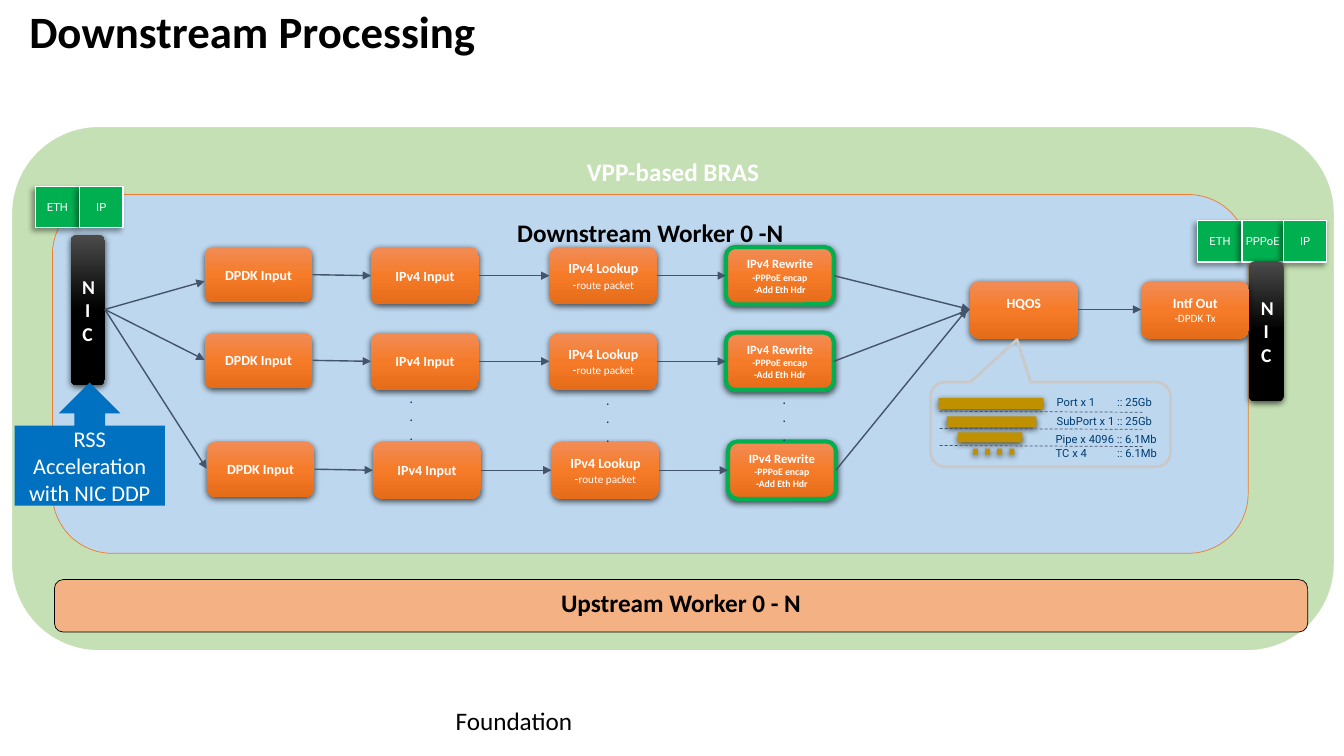
import pptx
import lxml.etree
import pptx.util
import pptx.oxml
import pptx.oxml.ns
import pptx.dml.color
import pptx.enum.dml
import pptx.enum.shapes
import pptx.enum.text

Inches, Pt = pptx.util.Inches, pptx.util.Pt
RGB = pptx.dml.color.RGBColor.from_string
qn = pptx.oxml.ns.qn
KIND = pptx.enum.shapes.MSO_SHAPE
ANCHOR = pptx.enum.text.MSO_ANCHOR
ALIGN = pptx.enum.text.PP_ALIGN


class Theme:
    body, small = "Calibri", "Roboto"
    black, white, navy, slate = "000000", "FFFFFF", "003C71", "44546A"
    green, sky, peach, rim = "C5E0B4", "BDD7EE", "F4B183", "ED7D31"
    tag, gold, blue, grey = "00B050", "BF9000", "0070C0", "C9C9C9"
    orange = ("F18C57", "F67B28", "E56C19")
    coal = ("4B4B4B", "000000", "000000")
    title, head, note, nic, dot = 32, 18, 16, 14, 11
    node, mid, sub, tiny = 10, 9, 8, 7
    soft = (63, 4.5, 1.5, 90)
    cast = (40, 4, 3, 135)


def write(shape, paras, size=Theme.node, color=Theme.white, font=Theme.body, bold=False,
          align=ALIGN.CENTER, anchor=ANCHOR.MIDDLE, inset=None, space=None):
    """Each paragraph is a string or a list of (text, size, bold) runs."""
    frame = shape.text_frame
    frame.word_wrap = True
    frame.auto_size = pptx.enum.text.MSO_AUTO_SIZE.NONE
    frame.vertical_anchor = anchor
    if inset is not None:
        frame.margin_left = frame.margin_right = Inches(inset)
        frame.margin_top = frame.margin_bottom = Inches(inset)
    for i, runs in enumerate(paras):
        para = frame.add_paragraph() if i else frame.paragraphs[0]
        para.alignment = align
        if space:
            para.line_spacing = space
        for text, points, heavy in [(runs, size, bold)] if isinstance(runs, str) else runs:
            if text == "\n":
                para.add_line_break()
                continue
            run = para.add_run()
            run.text = text
            run.font.name, run.font.size, run.font.bold = font, Pt(points), heavy
            run.font.color.rgb = RGB(color)
    return shape


def blend(shape, colors):
    """Fill a shape from top to bottom with three colours."""
    shape.fill.gradient()
    shape.fill.gradient_angle = 270
    stops = shape._element.spPr.find(qn("a:gradFill")).find(qn("a:gsLst"))
    for stop in list(stops):
        stops.remove(stop)
    for pos, color in zip((0, 50000, 100000), colors):
        stop = lxml.etree.SubElement(stops, qn("a:gs"), pos=str(pos))
        lxml.etree.SubElement(stop, qn("a:srgbClr"), val=color)


def draw(host, kind, box, fill=None, line=None, width=1, shade=None):
    shape = host.add_shape(kind, *map(Inches, box))
    if isinstance(fill, tuple):
        blend(shape, fill)
    elif fill:
        shape.fill.solid()
        shape.fill.fore_color.rgb = RGB(fill)
    else:
        shape.fill.background()
    if line:
        shape.line.color.rgb = RGB(line)
        shape.line.width = Pt(width)
    else:
        shape.line.fill.background()
    shape.shadow.inherit = False
    if shade:
        alpha, blur, dist, angle = shade
        effects = shape._element.spPr.find(qn("a:effectLst"))
        outer = lxml.etree.SubElement(
            effects, qn("a:outerShdw"), blurRad=str(Pt(blur)), dist=str(Pt(dist)),
            dir=str(angle * 60000), rotWithShape="0")
        tint = lxml.etree.SubElement(outer, qn("a:srgbClr"), val=Theme.black)
        lxml.etree.SubElement(tint, qn("a:alpha"), val=str(alpha * 1000))
    return shape


def link(host, start, end, width=1, dash=False):
    """Draw an arrow, or a plain dashed rule."""
    wire = host.add_connector(pptx.enum.shapes.MSO_CONNECTOR.STRAIGHT,
                              *map(Inches, (*start, *end)))
    wire.line.color.rgb = RGB(Theme.slate)
    wire.line.width = Pt(width)
    props = wire._element.spPr
    if dash:
        wire.line.dash_style = pptx.enum.dml.MSO_LINE.DASH
    else:
        lxml.etree.SubElement(props.find(qn("a:ln")), qn("a:tailEnd"), type="triangle")
    lxml.etree.SubElement(props, qn("a:effectLst"))


def label(host, box, paras, **style):
    return write(host.add_textbox(*map(Inches, box)), paras, align=ALIGN.LEFT,
                 anchor=ANCHOR.TOP, **style)


def panel(host, box, text, fill, line, width, color=Theme.black):
    shape = draw(host, KIND.ROUNDED_RECTANGLE, box, fill, line, width)
    write(shape, [text], Theme.head, color, bold=True, anchor=ANCHOR.TOP)


def node(host, box, paras, size=Theme.node, line=None):
    shape = draw(host, KIND.ROUNDED_RECTANGLE, box, Theme.orange, line, 3, Theme.soft)
    return write(shape, paras, size, bold=True)


def port(host, box):
    shape = draw(host, KIND.ROUNDED_RECTANGLE, box, Theme.coal, shade=Theme.soft)
    write(shape, ["NIC"], Theme.nic, bold=True)


def tags(host, box, cells):
    """Packet header cells, side by side."""
    left, top, high = box
    for text, wide in cells:
        cell = draw(host, KIND.RECTANGLE, (left, top, wide, high), Theme.tag, Theme.white,
                    shade=Theme.cast)
        write(cell, [text], Theme.sub, font=Theme.small, inset=0)
        left += wide


def lane(slide, box):
    """One worker row: four nodes joined by arrows."""
    left, top, wide, high = box
    host = slide.shapes.add_group_shape().shapes
    steps = (
        (0, high - 0.02, ["DPDK Input"], Theme.node, None),
        (1.65, high, ["IPv4 Input"], Theme.node, None),
        (3.42, high, [[("IPv4 Lookup", Theme.node, True), ("\n", 0, False),
                       ("-", Theme.mid, False), ("route packet", Theme.sub, False)]],
         Theme.node, None),
        (5.17, high, ["IPv4 Rewrite", [("-PPPoE encap", Theme.tiny, True)],
                      [("-Add Eth Hdr", Theme.tiny, True)]], Theme.mid, Theme.tag),
    )
    last = None
    for shift, tall, paras, size, line in steps:
        x, mid = left + shift, top + tall / 2
        node(host, (x, top, wide, tall), paras, size, line)
        if last:
            link(host, last, (x, mid))
        last = (x + wide, mid)
    return last


def shaper(slide, box):
    """Scheduler levels inside a speech balloon."""
    left, top, wide, high = box
    host = slide.shapes.add_group_shape().shapes
    bars = [(0.08, 0.16, 1.04, 0.11), (0.16, 0.34, 0.89, 0.11), (0.27, 0.5, 0.64, 0.1)]
    bars += [(0.42 + 0.12 * i, 0.66, 0.05, 0.06) for i in range(4)]
    for x, y, w, h in bars:
        draw(host, KIND.RECTANGLE, (left + x, top + y, w, h), Theme.gold, shade=Theme.soft)
    for i in range(3):
        y = top + 0.29 + 0.17 * i
        link(host, (left + 0.09, y), (left + 2.1, y + 0.01), 0.5, dash=True)
    levels = ((1.25, 0.13, "Port x 1\t:: 25Gb"), (1.25, 0.32, "SubPort x 1 :: 25Gb"),
              (1.24, 0.5, "Pipe x 4096 :: 6.1Mb"), (1.24, 0.64, "TC x 4\t:: 6.1Mb"))
    for x, y, text in levels:
        row = label(host, (left + x, top + y, 1.26, 0.14), [text], size=Theme.sub,
                    color=Theme.navy, font=Theme.small, inset=0)
        props = row.text_frame.paragraphs[0]._p.get_or_add_pPr()
        stops = lxml.etree.SubElement(props, qn("a:tabLst"))
        lxml.etree.SubElement(stops, qn("a:tab"), pos=str(Inches(1.85 - x)), algn="l")
    balloon = draw(slide.shapes, KIND.ROUNDED_RECTANGULAR_CALLOUT, box, line=Theme.grey, width=2)
    for i, value in enumerate((-0.14, -1, 0.17)):
        balloon.adjustments[i] = value


def header(slide, box):
    title = slide.shapes.title
    title.left, title.top, title.width, title.height = map(Inches, box)
    write(title, ["Downstream Processing"], Theme.title, Theme.black, bold=True,
          align=ALIGN.LEFT, space=0.9)


def boost(host, box):
    """Up-pointing callout below the left port."""
    shape = draw(host, KIND.RIGHT_ARROW_CALLOUT, box, Theme.blue)
    shape.rotation = 270
    write(shape, ["RSS Acceleration with NIC DDP"], Theme.note)
    shape.text_frame._txBody.bodyPr.set("vert", "vert")


def main():
    deck = pptx.Presentation()
    deck.slide_width, deck.slide_height = Inches(13.33), Inches(7.5)
    slide = deck.slides.add_slide(deck.slide_layouts[5])
    host = slide.shapes

    # Title, footer and background panels
    header(slide, (0.19, 0.05, 10.85, 0.57))
    label(host, (4.42, 6.95, 4.5, 0.4), ["Foundation"], size=Theme.head, color=Theme.black)
    panel(host, (0.11, 1.25, 13.13, 5.21), "VPP-based BRAS", Theme.green, Theme.white, 1.5,
          Theme.white)
    panel(host, (0.52, 1.93, 11.86, 3.56), "Downstream Worker 0 -N", Theme.sky, Theme.rim, 0.5)
    panel(host, (0.54, 5.75, 12.43, 0.52), "Upstream Worker 0 - N", Theme.peach, Theme.black, 0.5)

    # Ports and packet headers
    port(host, (0.7, 2.33, 0.34, 1.49))
    tags(host, (0.35, 1.85, 0.41), (("ETH", 0.44), ("IP", 0.43)))
    tags(host, (11.88, 2.19, 0.41), (("ETH", 0.44), ("PPPoE", 0.41), ("IP", 0.43)))
    port(host, (12.39, 2.59, 0.34, 1.39))

    # Output stages
    queue = node(host, (9.62, 2.79, 1.07, 0.57), ["HQOS"])
    queue.text_frame.margin_bottom = Inches(0.19)
    node(host, (11.32, 2.79, 1.07, 0.57), ["Intf Out", [("-DPDK Tx", Theme.sub, False)]])
    link(host, (10.69, 3.07), (11.32, 3.07))
    shaper(slide, (9.23, 3.79, 2.38, 0.84))

    # Worker lanes, fanned out from the port and into the queue
    for left, top, entry, goal in ((2.03, 2.45, 2.79, 9.62), (2.03, 3.3, 3.57, 9.62),
                                   (2.05, 4.38, 4.65, 9.59)):
        end = lane(slide, (left, top, 1.07, 0.57))
        link(host, (1.04, 3.07), (left, entry))
        link(host, end, (goal, 3.07))
    for left, top in ((4.06, 3.85), (6.01, 3.87), (7.76, 3.86)):
        label(host, (left, top, 0.37, 0.32), ["."] * 3, size=Theme.dot, color=Theme.navy,
              font=Theme.small, inset=0)
    boost(host, (0.28, 3.66, 1.22, 1.49))

    deck.save("out.pptx")


if __name__ == "__main__":
    main()
